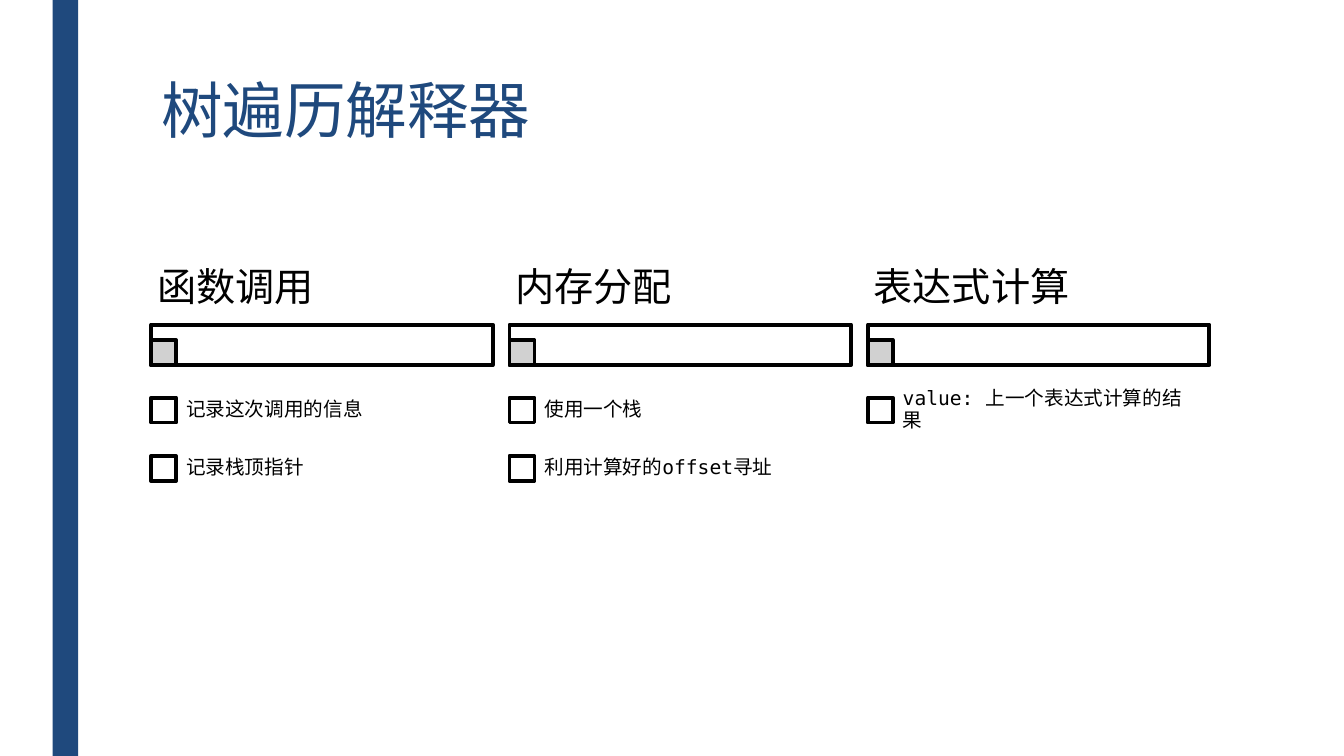
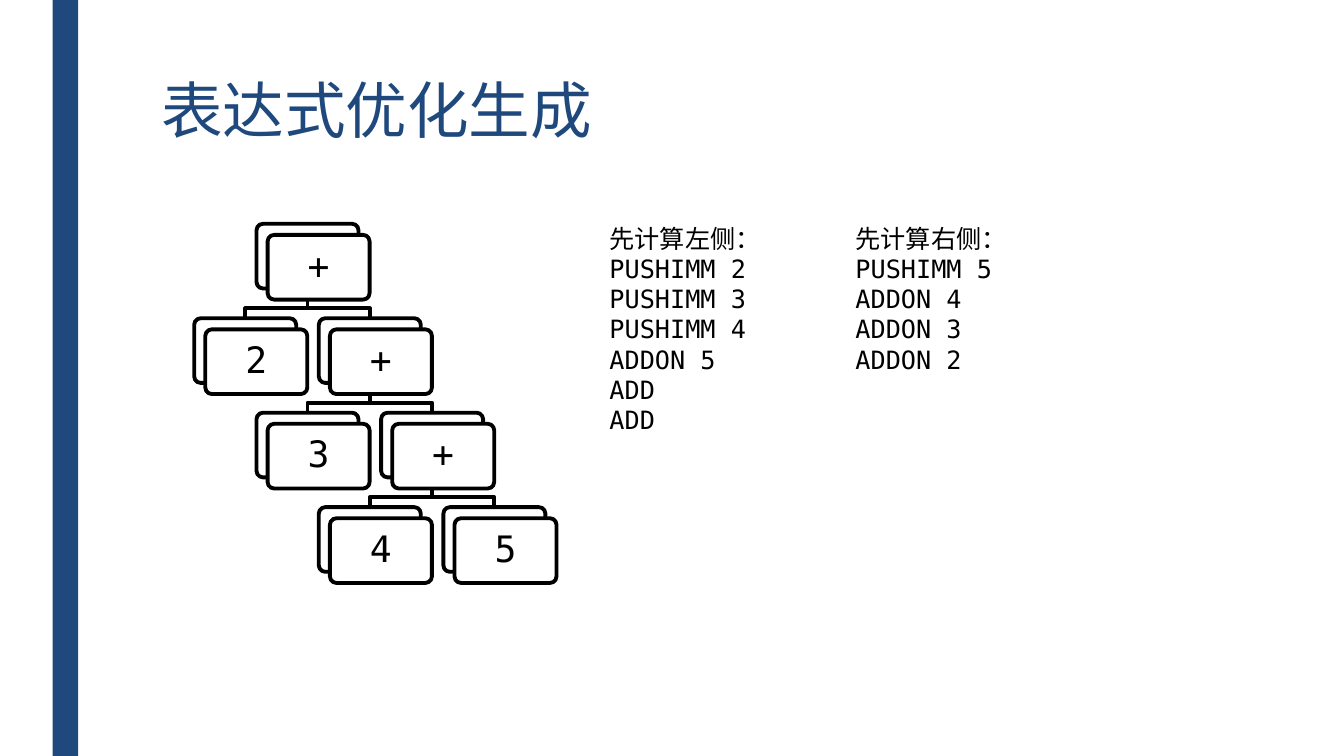
from dataclasses import dataclass
from typing import Optional

from lxml import etree
from pptx import Presentation
from pptx import util as u
from pptx.dml.color import RGBColor
from pptx.enum import shapes, text
from pptx.oxml.ns import qn
from pptx.shapes.autoshape import Shape
from pptx.slide import Slide

# Shared style
COLORS = {"navy": "1F497D", "ink": "000000", "paper": "FFFFFF", "grey": "CCCCCC"}
TITLE_FONT, BODY_FONT = "Courier New", "DejaVu Sans Mono"
WIDTH, HEIGHT = 33.87, 19.05
LEFT = 3.81
LINE_WIDTH = 2.75
RECTANGLE = shapes.MSO_SHAPE.RECTANGLE
ROUNDED = shapes.MSO_SHAPE.ROUNDED_RECTANGLE


@dataclass(frozen=True)
class Box:
    left: float
    top: float
    width: float
    height: float

    def lengths(self) -> list[u.Length]:
        return [u.Cm(side) for side in (self.left, self.top, self.width, self.height)]


@dataclass(frozen=True)
class TextStyle:
    size: float
    font: str = BODY_FONT
    color: str = "ink"
    spacing: Optional[float] = None
    insets: tuple[float, float] = (0.25, 0.13)
    anchor: text.MSO_ANCHOR = text.MSO_ANCHOR.TOP
    align: text.PP_ALIGN = text.PP_ALIGN.LEFT


MIDDLE = text.MSO_ANCHOR.MIDDLE
TITLE = TextStyle(44, TITLE_FONT, "navy", 0.89)
HEADING = TextStyle(28, spacing=0.9, insets=(0.15, 0.1), anchor=MIDDLE)
ITEM = TextStyle(14, spacing=0.9, insets=(0.28, 0.28), anchor=MIDDLE)
NODE = TextStyle(26, spacing=0.9, insets=(0.28, 0.28), anchor=MIDDLE,
                 align=text.PP_ALIGN.CENTER)
CODE = TextStyle(18)


# Slide content
@dataclass(frozen=True)
class Column:
    heading: str
    items: tuple[str, ...]


@dataclass(frozen=True)
class Node:
    label: str
    children: tuple["Node", ...] = ()


@dataclass(frozen=True)
class Listing:
    box: Box
    lines: tuple[str, ...]


COLUMNS = (
    Column("函数调用", ("记录这次调用的信息", "记录栈顶指针")),
    Column("内存分配", ("使用一个栈", "利用计算好的offset寻址")),
    Column("表达式计算", ("value: 上一个表达式计算的结果",)),
)
EXPRESSION = Node("+", (Node("2"), Node("+", (
    Node("3"), Node("+", (Node("4"), Node("5")))))))
LISTINGS = (
    Listing(Box(15.11, 5.49, 9.7, 5.64),
            ("先计算左侧：", "PUSHIMM 2", "PUSHIMM 3", "PUSHIMM 4",
             "ADDON 5", "ADD", "ADD")),
    Listing(Box(21.31, 5.49, 9.7, 4.11),
            ("先计算右侧：", "PUSHIMM 5", "ADDON 4", "ADDON 3", "ADDON 2")),
)


# Drawing helpers
def rgb(name: str) -> RGBColor:
    return RGBColor.from_string(COLORS[name])


def outline(shape: Shape) -> None:
    shape.shadow.inherit = False
    shape.line.color.rgb = rgb("ink")
    shape.line.width = u.Pt(LINE_WIDTH)


def add_box(slide: Slide, kind: shapes.MSO_SHAPE, box: Box, fill: str = "paper") -> Shape:
    shape = slide.shapes.add_shape(kind, *box.lengths())
    shape.fill.solid()
    shape.fill.fore_color.rgb = rgb(fill)
    outline(shape)
    return shape


def write(shape: Shape, lines: tuple[str, ...], style: TextStyle) -> None:
    frame = shape.text_frame
    frame.word_wrap = True
    frame.vertical_anchor = style.anchor
    frame.margin_left = frame.margin_right = u.Cm(style.insets[0])
    frame.margin_top = frame.margin_bottom = u.Cm(style.insets[1])
    for index, line in enumerate(lines):
        paragraph = frame.add_paragraph() if index else frame.paragraphs[0]
        paragraph.alignment = style.align
        paragraph.line_spacing = style.spacing
        run = paragraph.add_run()
        run.text = line
        run.font.name = style.font
        run.font.size = u.Pt(style.size)
        run.font.color.rgb = rgb(style.color)


def add_text(slide: Slide, box: Box, lines: tuple[str, ...], style: TextStyle) -> None:
    write(slide.shapes.add_textbox(*box.lengths()), lines, style)


def set_opacity(shape: Shape, percent: int) -> None:
    color = shape.element.spPr.find(f"{qn('a:solidFill')}/{qn('a:srgbClr')}")
    etree.SubElement(color, qn("a:alpha")).set("val", str(percent * 1000))


def add_slide(presentation: Presentation, title: str) -> Slide:
    slide = presentation.slides.add_slide(presentation.slide_layouts[6])
    band = add_box(slide, RECTANGLE, Box(1.33, 0, 0.64, HEIGHT), "navy")
    band.line.fill.background()
    add_text(slide, Box(LEFT, 1.9, 26.67, 4.11), (title,), TITLE)
    return slide


# Column with heading, bar and checklist
COLUMN_WIDTH, COLUMN_PITCH = 8.61, 9.03
MARK, ITEM_INDENT, ITEM_HEIGHT = 0.63, 0.6, 1.47


def draw_column(slide: Slide, left: float, column: Column) -> None:
    add_box(slide, RECTANGLE, Box(left, 8.18, COLUMN_WIDTH, 1.02))
    mark = add_box(slide, RECTANGLE, Box(left, 9.2 - MARK, MARK, MARK), "grey")
    set_opacity(mark, 90)
    add_text(slide, Box(left, 6.35, COLUMN_WIDTH, 1.83), (column.heading,), HEADING)
    for row, item in enumerate(column.items):
        top = 9.6 + row * ITEM_HEIGHT
        add_box(slide, RECTANGLE, Box(left, top + (ITEM_HEIGHT - MARK) / 2, MARK, MARK))
        add_text(slide, Box(left + ITEM_INDENT, top, COLUMN_WIDTH - ITEM_INDENT,
                            ITEM_HEIGHT), (item,), ITEM)


# Expression tree of stacked cards
CARD_WIDTH, CARD_HEIGHT = 2.57, 1.63
CARD_SHIFT = 0.28
HALF_STEP, ROW_STEP, LINK_DROP = 1.57, 2.38, 0.5


def draw_link(slide: Slide, start_x: float, start_y: float, end_x: float, end_y: float) -> None:
    bend = start_y + LINK_DROP
    builder = slide.shapes.build_freeform(u.Cm(start_x), u.Cm(start_y))
    corners = ((start_x, bend), (end_x, bend), (end_x, end_y))
    builder.add_line_segments([(u.Cm(x), u.Cm(y)) for x, y in corners], close=False)
    link = builder.convert_to_shape()
    link.fill.background()
    outline(link)


def draw_tree(slide: Slide, node: Node, center: float, top: float) -> None:
    child_top = top + ROW_STEP
    branches = list(zip(node.children, (center - HALF_STEP, center + HALF_STEP)))
    for _, child_center in branches:
        draw_link(slide, center, top + CARD_HEIGHT, child_center, child_top)
    for shift in (0, CARD_SHIFT):
        card = add_box(slide, ROUNDED, Box(center - CARD_WIDTH / 2 + shift, top + shift,
                                           CARD_WIDTH, CARD_HEIGHT))
        card.adjustments[0] = 0.1
    write(card, (node.label,), NODE)
    for child, child_center in branches:
        draw_tree(slide, child, child_center, child_top)


def main() -> None:
    presentation = Presentation()
    presentation.slide_width, presentation.slide_height = u.Cm(WIDTH), u.Cm(HEIGHT)

    # Slide 1: interpreter
    slide = add_slide(presentation, "树遍历解释器")
    for index, column in enumerate(COLUMNS):
        draw_column(slide, LEFT + index * COLUMN_PITCH, column)

    # Slide 2: expression code
    slide = add_slide(presentation, "表达式优化生成")
    draw_tree(slide, EXPRESSION, 7.75, 5.64)
    for listing in LISTINGS:
        add_text(slide, listing.box, listing.lines, CODE)

    presentation.save("out.pptx")


main()
